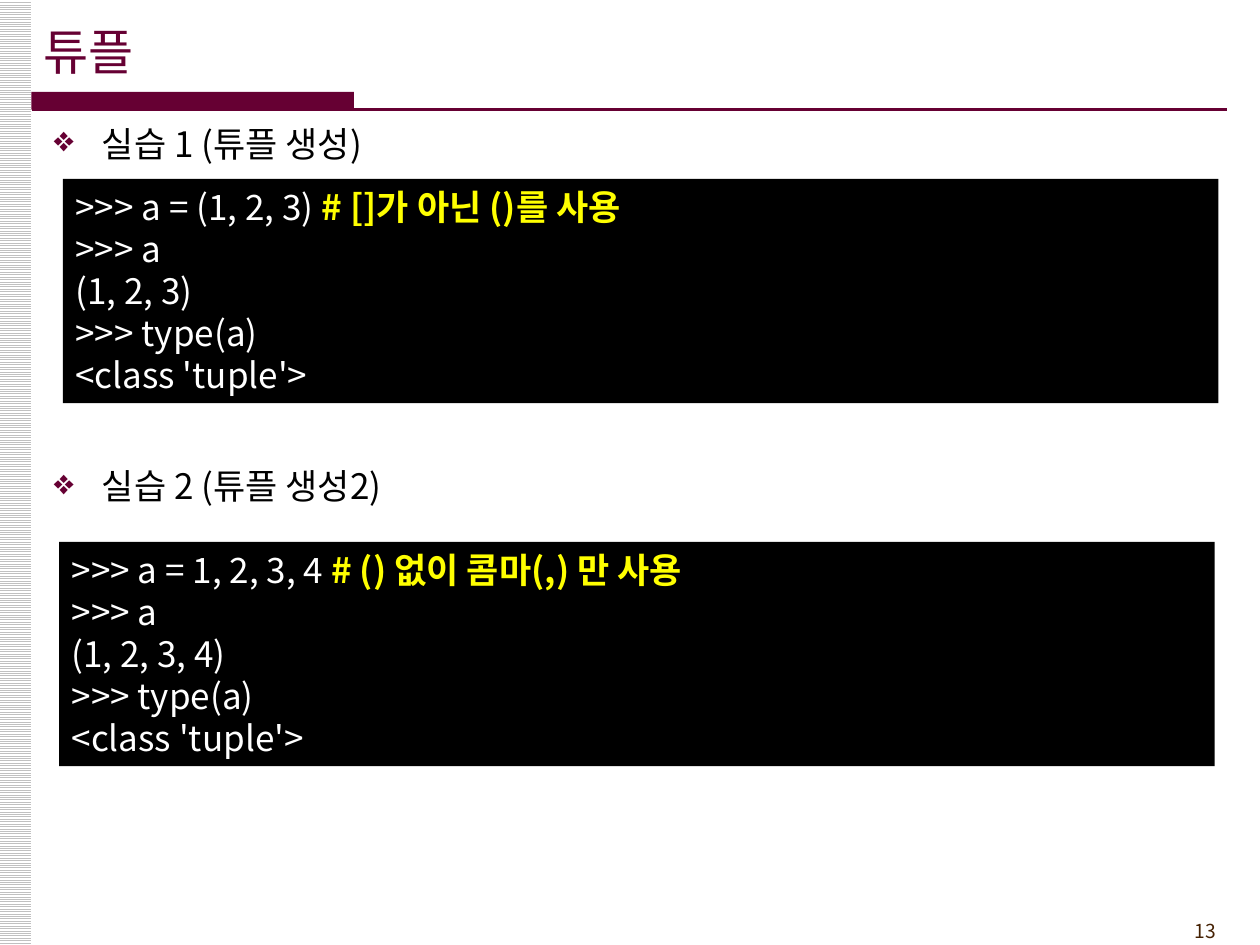
from dataclasses import dataclass

import pptx
import pptx.dml.color
import pptx.enum.dml
import pptx.enum.shapes
import pptx.enum.text
import pptx.oxml
import pptx.oxml.ns
import pptx.util

RGBColor = pptx.dml.color.RGBColor
Align = pptx.enum.text.PP_ALIGN
Anchor = pptx.enum.text.MSO_ANCHOR

WINE = RGBColor(0x66, 0x00, 0x33)
BLACK = RGBColor(0x00, 0x00, 0x00)
WHITE = RGBColor(0xFF, 0xFF, 0xFF)
YELLOW = RGBColor(0xFF, 0xFF, 0x00)
SILVER = RGBColor(0xC0, 0xC0, 0xC0)
BROWN = RGBColor(0x45, 0x21, 0x03)

FONT = "Noto Sans CJK KR"
BODY_SIZE = 20
COLUMNS, ROWS = 100, 75
CELL = pptx.util.Inches(0.1)
HANGING = 3.8


@dataclass(frozen=True)
class Area:
    """A rectangle in columns and rows of the slide grid."""
    left: float
    top: float
    width: float
    height: float

    def lengths(self) -> list[int]:
        return [cells(n) for n in (self.left, self.top, self.width, self.height)]


@dataclass(frozen=True)
class Practice:
    heading: str
    heading_top: float
    console: Area
    statement: str
    comment: str
    value: str

    def session(self) -> list[str]:
        return [">>> a", self.value, ">>> type(a)", "<class 'tuple'>"]


PRACTICES = [
    Practice("실습 1 (튜플 생성)", 9.2, Area(5, 14.2, 91.7, 17.8),
             ">>> a = (1, 2, 3) ", "# []가 아닌 ()를 사용", "(1, 2, 3)"),
    Practice("실습 2 (튜플 생성2)", 36.4, Area(4.7, 43, 91.7, 17.8),
             ">>> a = 1, 2, 3, 4 ", "# () 없이 콤마(,) 만 사용", "(1, 2, 3, 4)"),
]


def cells(count: float) -> int:
    return round(count * CELL)


def add_span(para, text: str, size: float, color: RGBColor, bold: bool = False) -> None:
    span = para.add_run()
    span.text = text
    span.font.size = pptx.util.Pt(size)
    span.font.name = FONT
    span.font.bold = bold
    span.font.color.rgb = color
    east_asian = pptx.oxml.parse_xml(
        f'<a:ea {pptx.oxml.ns.nsdecls("a")} typeface="{FONT}"/>')
    span.font._element.find(pptx.oxml.ns.qn("a:latin")).addnext(east_asian)


def add_text(page, area: Area, text: str, size: float, color: RGBColor,
             align=Align.LEFT, anchor=Anchor.TOP):
    """Add a one-paragraph text box and return the paragraph."""
    frame = page.shapes.add_textbox(*area.lengths()).text_frame
    frame.word_wrap = True
    frame.vertical_anchor = anchor
    para = frame.paragraphs[0]
    para.alignment = align
    add_span(para, text, size, color)
    return para


def add_bullet(para) -> None:
    """Give the paragraph a wine-coloured diamond and a hanging indent."""
    settings = para._p.get_or_add_pPr()
    settings.set("marL", str(cells(HANGING)))
    settings.set("indent", str(-cells(HANGING)))
    names = pptx.oxml.ns.nsdecls("a")
    for xml in (f'<a:buClr {names}><a:srgbClr val="{WINE}"/></a:buClr>',
                f'<a:buChar {names} char="❖"/>'):
        settings.append(pptx.oxml.parse_xml(xml))


def add_block(page, area: Area, color: RGBColor):
    block = page.shapes.add_shape(
        pptx.enum.shapes.MSO_SHAPE.RECTANGLE, *area.lengths())
    block.shadow.inherit = False
    block.line.fill.background()
    block.fill.solid()
    block.fill.fore_color.rgb = color
    return block


def add_striped_edge(page) -> None:
    edge = add_block(page, Area(-0.1, 0, 2.6, ROWS), SILVER)
    edge.fill.patterned()
    edge.fill.pattern = pptx.enum.dml.MSO_PATTERN.LIGHT_HORIZONTAL
    edge.fill.fore_color.rgb = SILVER
    edge.fill.back_color.rgb = WHITE


def add_title_rule(page) -> None:
    add_block(page, Area(2.5, 7.3, 25.6, 1.4), WINE)
    rule = page.shapes.add_connector(
        pptx.enum.shapes.MSO_CONNECTOR.STRAIGHT,
        cells(2.5), cells(8.7), cells(97.4), cells(8.7))
    rule.line.color.rgb = WINE
    rule.line.width = pptx.util.Pt(1.5)
    rule._element.spPr.append(
        pptx.oxml.parse_xml(f'<a:effectLst {pptx.oxml.ns.nsdecls("a")}/>'))


def add_practice(page, practice: Practice) -> None:
    heading = add_text(page, Area(3.3, practice.heading_top, 95, 4.4),
                       practice.heading, BODY_SIZE, BLACK)
    add_bullet(heading)

    frame = add_block(page, practice.console, BLACK).text_frame
    frame.word_wrap = True
    frame.vertical_anchor = Anchor.TOP
    first = frame.paragraphs[0]
    first.alignment = Align.JUSTIFY
    add_span(first, practice.statement, BODY_SIZE, WHITE)
    add_span(first, practice.comment, BODY_SIZE, YELLOW, bold=True)
    for line in practice.session():
        para = frame.add_paragraph()
        para.alignment = Align.JUSTIFY
        add_span(para, line, BODY_SIZE, WHITE)


def main() -> None:
    deck = pptx.Presentation()
    deck.slide_width, deck.slide_height = cells(COLUMNS), cells(ROWS)
    page = deck.slides.add_slide(deck.slide_layouts[6])
    add_striped_edge(page)
    add_text(page, Area(89.2, 72.5, 8.3, 2.9), "13", 11, BROWN, Align.RIGHT)
    add_title_rule(page)
    add_text(page, Area(2.5, 0.9, 82.7, 6.3), "튜플", 28, WINE, anchor=Anchor.MIDDLE)
    for practice in PRACTICES:
        add_practice(page, practice)
    deck.save("out.pptx")


if __name__ == "__main__":
    main()
